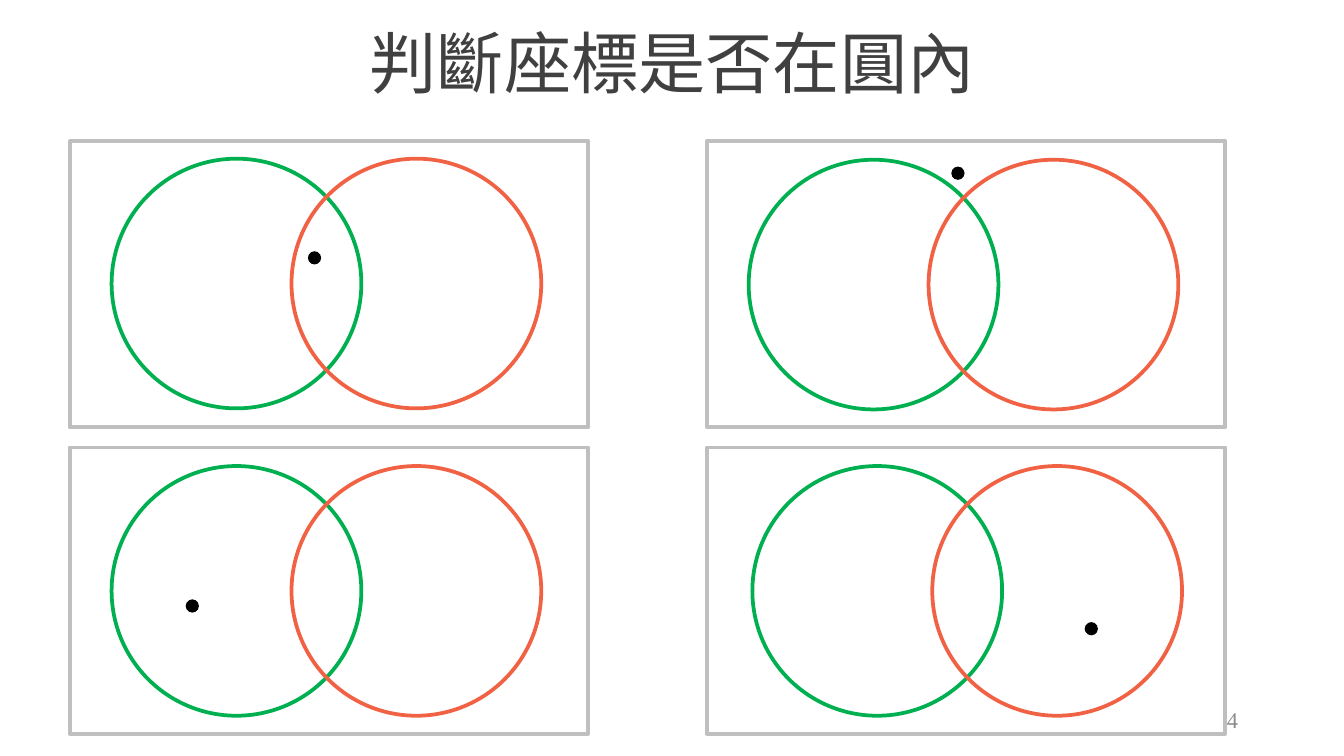
import pptx
import pptx.util
import pptx.dml.color
import pptx.enum.shapes
import pptx.enum.text

Cm, Pt = pptx.util.Cm, pptx.util.Pt
RGBColor = pptx.dml.color.RGBColor
Shape = pptx.enum.shapes.MSO_SHAPE
Align = pptx.enum.text.PP_ALIGN
Anchor = pptx.enum.text.MSO_ANCHOR

GREEN = RGBColor(0x00, 0xB0, 0x50)
CORAL = RGBColor(0xF1, 0x62, 0x44)
BLACK = RGBColor(0x00, 0x00, 0x00)
SILVER = RGBColor(0xBF, 0xBF, 0xBF)
DARK = RGBColor(0x40, 0x40, 0x40)
GREY = RGBColor(0x8C, 0x8C, 0x8C)
FONT = "Times New Roman"


def outline(shapes, kind, left, top, width, height, color):
    shape = shapes.add_shape(kind, Cm(left), Cm(top), Cm(width), Cm(height))
    shape.shadow.inherit = False
    shape.fill.background()
    shape.line.color.rgb = color
    shape.line.width = Pt(2)
    return shape


def write(box, text, size, color, align):
    frame = box.text_frame
    frame.word_wrap = True
    frame.vertical_anchor = Anchor.MIDDLE
    para = frame.paragraphs[0]
    para.text = text
    para.alignment = align
    para.font.name = FONT
    para.font.size = Pt(size)
    para.font.color.rgb = color


deck = pptx.Presentation()
deck.slide_width, deck.slide_height = Cm(25.4), Cm(14.29)
slide = deck.slides.add_slide(deck.slide_layouts[5])

title = slide.shapes.title
title.left, title.top = Cm(0), Cm(0.36)
title.width, title.height = Cm(25.4), Cm(1.6)
write(title, "判斷座標是否在圓內", 36, DARK, Align.CENTER)

# Each case: left and top of the green circle, left and top of the point
cases = [
    (2.11, 3, 5.82, 4.75),
    (14.15, 3.02, 17.98, 3.15),
    (2.11, 8.81, 3.51, 11.33),
    (14.22, 8.81, 20.5, 11.76),
]
SIZE, SHIFT, DOT = 4.72, 3.4, 0.25
for left, top, x, y in cases:
    group = slide.shapes.add_group_shape().shapes
    outline(group, Shape.OVAL, left, top, SIZE, SIZE, GREEN)
    outline(group, Shape.OVAL, left + SHIFT, top, SIZE, SIZE, CORAL)
    point = outline(group, Shape.OVAL, x, y, DOT, DOT, BLACK)
    point.fill.solid()
    point.fill.fore_color.rgb = BLACK
    point.line.fill.background()

for top in (2.67, 8.46):
    for left in (1.32, 13.36):
        outline(slide.shapes, Shape.RECTANGLE, left, top, 9.8, 5.41, SILVER)

number = slide.shapes.add_textbox(Cm(17.93), Cm(13.23), Cm(5.72), Cm(0.76))
write(number, "4", 12, GREY, Align.RIGHT)

deck.save("out.pptx")
